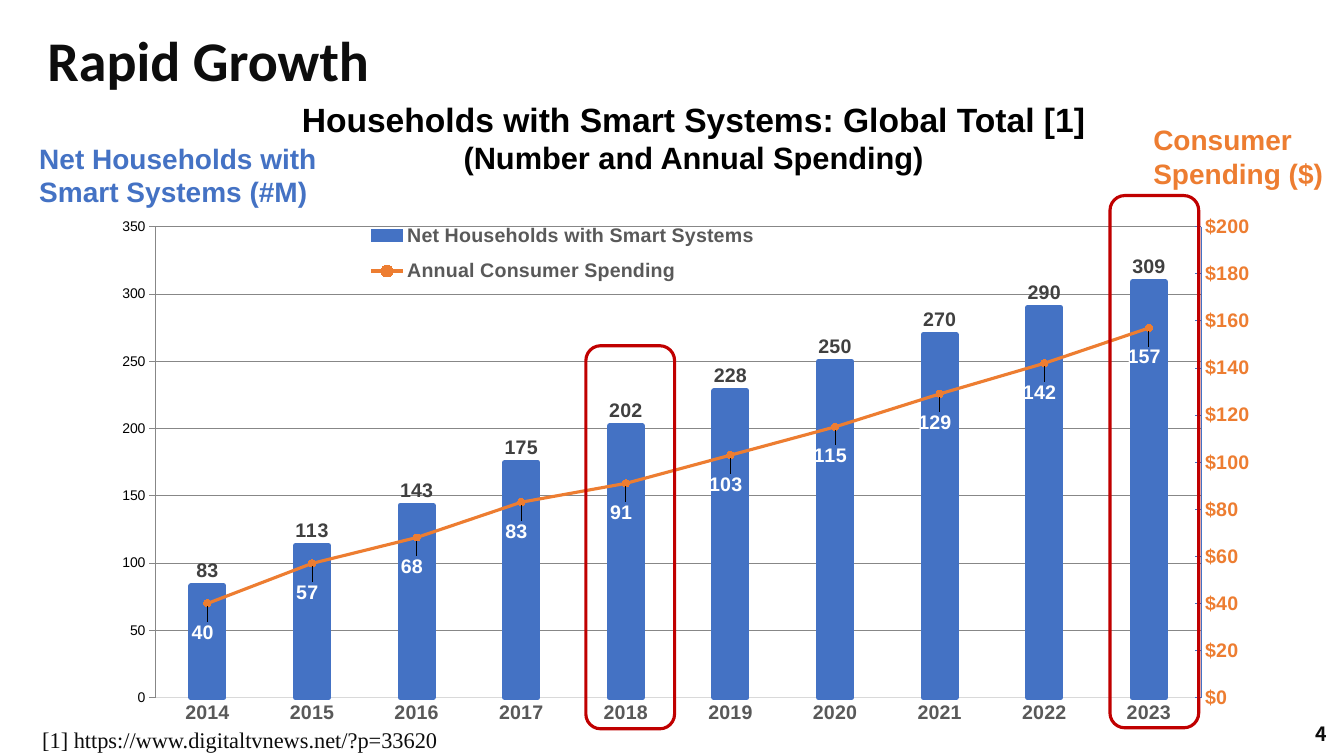
from copy import deepcopy
from pptx import Presentation, oxml, util as u
from pptx.chart import axis, data
from pptx.dml.color import RGBColor
from pptx.enum import chart as ce, shapes, text
from pptx.oxml.ns import nsdecls

HUE = {"blue": "4472C4", "orange": "ED7D31", "red": "C00000", "ink": "0D0D0D",
       "black": "000000", "label": "404040", "gray": "595959", "grid": "D9D9D9",
       "white": "FFFFFF"}
NS = nsdecls("c")

deck = Presentation()
deck.slide_width, deck.slide_height = u.Inches(13.33), u.Inches(7.5)
slide = deck.slides.add_slide(deck.slide_layouts[5])


def area(left, top, wide, high):
    across, down = deck.slide_width / 100, deck.slide_height / 100
    return int(left * across), int(top * down), int(wide * across), int(high * down)


def style(font, size, hue, bold=True, face="Arial"):
    font.size, font.bold, font.name = u.Pt(size), bold, face
    font.color.rgb = RGBColor.from_string(HUE[hue])


title = slide.shapes.title
title.left, title.top, title.width, title.height = area(2.78, 4.13, 94.5, 8.4)
title.text_frame.vertical_anchor = text.MSO_ANCHOR.MIDDLE
para = title.text_frame.paragraphs[0]
para.alignment, para.line_spacing = text.PP_ALIGN.LEFT, 0.9
run = para.add_run()
run.text = "Rapid Growth"
style(run.font, 40, "ink", face="Calibri")

homes = [83, 113, 143, 175, 202, 228, 250, 270, 290, 309]
spend = [40, 57, 68, 83, 91, 103, 115, 129, 142, 157]
table = data.CategoryChartData()
table.categories = [str(year) for year in range(2014, 2024)]
table.add_series("Net Households with Smart Systems", homes)
table.add_series("Annual Consumer Spending", spend)
chart = slide.shapes.add_chart(ce.XL_CHART_TYPE.COLUMN_CLUSTERED,
                               *area(7.05, 27.2, 88.15, 70), table).chart
chart.has_title = False
style(chart.font, 10, "black", False)

plot = chart.plots[0]
plot.gap_width, plot.vary_by_categories = 219, False
root = chart.element.xpath(".//c:plotArea")[0]
bars = root.xpath("./c:barChart")[0]
trend = bars.xpath("./c:ser")[1]
for node in trend.xpath("./c:invertIfNegative"):
    trend.remove(node)
line = oxml.parse_xml(
    f'<c:lineChart {NS}><c:grouping val="standard"/><c:varyColors val="0"/>'
    '<c:marker val="1"/><c:axId val="50"/><c:axId val="60"/></c:lineChart>')
line.insert(2, trend)
bars.addnext(line)
last = root.xpath("./c:valAx")[0]
side = oxml.parse_xml(
    f'<c:valAx {NS}><c:axId val="60"/><c:scaling><c:orientation val="minMax"/></c:scaling>'
    '<c:delete val="0"/><c:axPos val="r"/><c:majorTickMark val="out"/>'
    '<c:minorTickMark val="none"/><c:tickLblPos val="nextTo"/><c:crossAx val="50"/>'
    '<c:crosses val="max"/><c:crossBetween val="between"/></c:valAx>')
base = oxml.parse_xml(
    f'<c:catAx {NS}><c:axId val="50"/><c:scaling><c:orientation val="minMax"/></c:scaling>'
    '<c:delete val="1"/><c:axPos val="b"/><c:majorTickMark val="none"/>'
    '<c:minorTickMark val="none"/><c:tickLblPos val="nextTo"/><c:crossAx val="60"/>'
    '<c:crosses val="autoZero"/></c:catAx>')
last.addnext(side)
side.addnext(base)

right = axis.ValueAxis(side)
for scale, top, step, hue in ((chart.value_axis, 320, 50, "blue"), (right, 200, 20, "orange")):
    scale.minimum_scale, scale.maximum_scale, scale.major_unit = 0, top, step
    style(scale.tick_labels.font, 14, hue)
right.tick_labels.number_format = "[$$-300A]#,##0;[Red][$$-300A]#,##0"
right.tick_labels.number_format_is_linked = False
right.format.line.fill.background()
left, years = chart.value_axis, chart.category_axis
left.major_tick_mark, years.major_tick_mark = ce.XL_TICK_MARK.INSIDE, ce.XL_TICK_MARK.NONE
left.has_major_gridlines = True
style(years.tick_labels.font, 14, "gray")
for edge, hue in ((left, "blue"), (years, "grid"), (left.major_gridlines, "grid")):
    edge.format.line.color.rgb = RGBColor.from_string(HUE[hue])
    edge.format.line.width = u.Pt(0.75)

bar, curve = chart.plots[0].series[0], chart.plots[1].series[0]
spot = ce.XL_LABEL_POSITION
for item, hue, width, ink, where in ((bar, "blue", 3.75, "label", spot.OUTSIDE_END),
                                     (curve, "orange", 2.25, "white", spot.BELOW)):
    item.format.line.color.rgb = RGBColor.from_string(HUE[hue])
    item.format.line.width = u.Pt(width)
    tags = item.data_labels
    tags.show_value, tags.position = True, where
    style(tags.font, 14, ink)
curve.smooth = False
curve.marker.style, curve.marker.size = ce.XL_MARKER_STYLE.CIRCLE, 5
for fill in (bar.format.fill, curve.marker.format.fill):
    fill.solid()
bar.format.fill.fore_color.rgb = RGBColor.from_string(HUE["blue"])
curve.marker.format.fill.fore_color.rgb = RGBColor.from_string(HUE["orange"])
curve.marker.format.line.color.rgb = RGBColor.from_string(HUE["orange"])

tags = trend.xpath("./c:dLbls")[0]
look = tags.xpath("./c:txPr")[0]
for i in range(len(spend)):
    tag = oxml.parse_xml(
        f'<c:dLbl {NS}><c:idx val="{i}"/><c:layout><c:manualLayout><c:x val="-0.004"/>'
        '<c:y val="0.02"/></c:manualLayout></c:layout><c:dLblPos val="b"/>'
        '<c:showLegendKey val="0"/><c:showVal val="1"/><c:showCatName val="0"/>'
        '<c:showSerName val="0"/><c:showPercent val="0"/><c:showBubbleSize val="0"/></c:dLbl>')
    tag.insert(2, deepcopy(look))
    tags.insert(i, tag)

chart.has_legend = True
key = chart.legend
key.position, key.include_in_layout = ce.XL_LEGEND_POSITION.TOP, True
style(key.font, 14, "gray")
for node in root.xpath("./c:layout") + key._element.xpath("./c:layout"):
    node.getparent().remove(node)
for home, slot, inner, (x, y, w, h) in (
        (root, 0, '<c:layoutTarget val="inner"/>', (0.051, 0.04, 0.883, 0.89)),
        (key._element, 1, "", (0.22, 0.01, 0.35, 0.16))):
    home.insert(slot, oxml.parse_xml(
        f'<c:layout {NS}><c:manualLayout>{inner}<c:xMode val="edge"/><c:yMode val="edge"/>'
        f'<c:x val="{x}"/><c:y val="{y}"/><c:w val="{w}"/><c:h val="{h}"/>'
        '</c:manualLayout></c:layout>'))

arial, start = "Arial", text.PP_ALIGN.LEFT
notes = [
    ((93.85, 94.4, 5.63, 5.33), text.PP_ALIGN.RIGHT, "ink", True, "Noto Sans CJK SC",
     [("4", 14)]),
    ((2.18, 18, 22.88, 10.27), start, "blue", True, arial,
     [("Net Households with", 20), ("Smart Systems (#M)", 20)]),
    ((85.07, 15.6, 14.25, 10.27), start, "orange", True, arial,
     [("Consumer", 20), ("Spending ($)", 20)]),
    ((21.46, 12.4, 60.3, 11.73), text.PP_ALIGN.CENTER, "black", True, arial,
     [("Households with Smart Systems: Global Total [1]", 24),
      ("(Number and Annual Spending)", 22)]),
    ((2.4, 95.33, 31.36, 4.93), start, "ink", False, "Times New Roman",
     [("[1] https://www.digitaltvnews.net/?p=33620", 16)]),
]
for place, align, hue, bold, face, rows in notes:
    frame = slide.shapes.add_textbox(*area(*place)).text_frame
    frame.word_wrap = align == text.PP_ALIGN.RIGHT
    if frame.word_wrap:
        frame.vertical_anchor = text.MSO_ANCHOR.MIDDLE
    else:
        frame.auto_size = text.MSO_AUTO_SIZE.SHAPE_TO_FIT_TEXT
    for i, (words, size) in enumerate(rows):
        para = frame.add_paragraph() if i else frame.paragraphs[0]
        para.alignment = align
        run = para.add_run()
        run.text = words
        style(run.font, size, hue, bold, face)

for year, top, high in ((2018, 45.73, 50.67), (2023, 25.87, 70.4)):
    ring = slide.shapes.add_shape(shapes.MSO_SHAPE.ROUNDED_RECTANGLE,
                                  *area(12.39 + 7.8 * (year - 2014), top, 6.6, high))
    ring.shadow.inherit = False
    ring.fill.background()
    ring.line.color.rgb = RGBColor.from_string(HUE["red"])
    ring.line.width = u.Pt(2.25)

deck.save("out.pptx")
